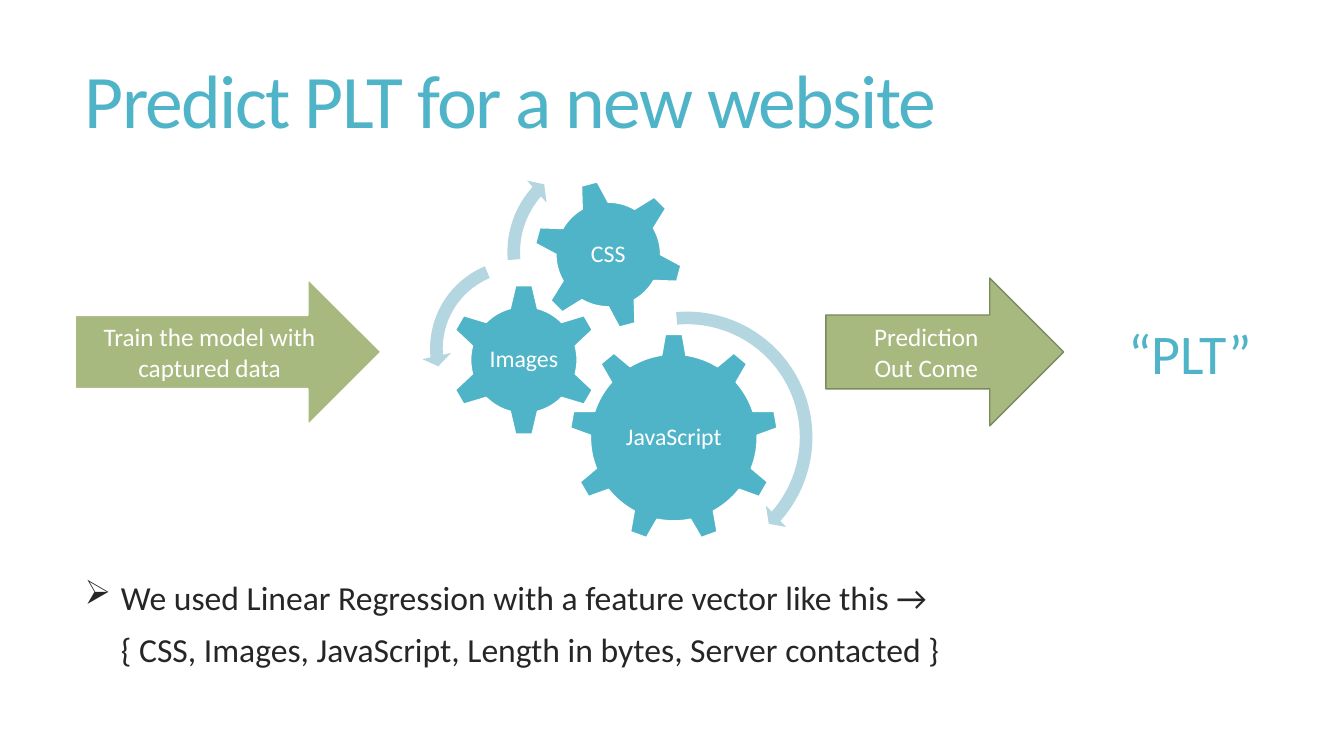
from pptx import Presentation
from pptx.dml.color import RGBColor
from pptx.enum.shapes import MSO_SHAPE as Shape
from pptx.enum.text import MSO_ANCHOR as Anchor, PP_ALIGN as Align
from pptx.oxml import parse_xml
from pptx.oxml.ns import nsdecls
from pptx.util import Inches, Pt

COLUMNS, ROWS = 160, 90
WIDTH, HEIGHT = Inches(13.33), Inches(7.5)
CELL = HEIGHT / ROWS
LEFT_EDGE = 8.9
ARROW_TOP, ARROW_HEIGHT = 33.1, 17.6

TEAL = RGBColor(0x50, 0xB4, 0xC8)
PALE_TEAL = RGBColor(0xB3, 0xD6, 0xE0)
GREEN = RGBColor(0xA8, 0xB9, 0x7F)
DARK_GREEN = RGBColor(0x7C, 0x89, 0x5E)
WHITE = RGBColor(0xFF, 0xFF, 0xFF)
INK = RGBColor(0x26, 0x26, 0x26)

GEARS = [
    ("JavaScript", Shape.GEAR_9, 67.8, 39.7, 24.8, 0),
    ("Images", Shape.GEAR_6, 53.3, 33.8, 18.1, 0),
    ("CSS", Shape.GEAR_6, 63.5, 21.4, 17.8, 345),
]
TURNS = [
    (Shape.CIRCULAR_ARROW, 65.8, 36.1, 31.9, 4.7, (4.98, 41.59, 265.11), 5.5),
    (Shape.LEFT_CIRCULAR_ARROW, 50.2, 29.9, 23.2, 6.5, (7.17, 174.82, 247.3), 7.5),
    (Shape.CIRCULAR_ARROW, 59.4, 17.5, 25, 6, (6.57, 221.9, 175.14), 7),
]
NOTES = [
    "We used Linear Regression with a feature vector like this →",
    "{ CSS, Images, JavaScript, Length in bytes, Server contacted }",
]


def cells(*counts):
    """Turn counts of square grid cells into lengths."""
    return [round(count * CELL) for count in counts]


def apply(target, formats):
    """Set every attribute in a dict of format values."""
    for name, value in formats.items():
        setattr(target, name, value)


def write(box, lines, size, color, frame_format=None, para_format=None):
    """Fill a box with paragraphs in one style and return them."""
    frame = box.text_frame
    apply(frame, {"word_wrap": True, **(frame_format or {})})
    for index, line in enumerate(lines):
        para = frame.paragraphs[0] if index == 0 else frame.add_paragraph()
        para.text = line
        apply(para, para_format or {})
        for span in para.runs:
            apply(span.font, {"name": "Calibri", "size": Pt(size)})
            span.font.color.rgb = color
    return frame.paragraphs


def add_shape(canvas, kind, place, fill, line=None, line_width=1):
    """Add a flat filled preset shape."""
    shape = canvas.add_shape(kind, *cells(*place))
    shape.shadow.inherit = False
    shape.fill.solid()
    shape.fill.fore_color.rgb = fill
    if line is None:
        shape.line.fill.background()
    else:
        shape.line.color.rgb = line
        shape.line.width = Pt(line_width)
    return shape


def add_gear(canvas, label, kind, left, top, size, rotation):
    """Add a gear with an upright label at its centre."""
    gear = add_shape(canvas, kind, (left, top, size, size), TEAL, WHITE)
    gear.rotation = rotation
    place = (left + size * 0.2, top + size * 0.25, size * 0.6, size * 0.5)
    box = canvas.add_textbox(*cells(*place))
    sides = ("left", "top", "right", "bottom")
    margins = {f"margin_{side}": Inches(0.02) for side in sides}
    write(box, [label], 17, WHITE,
          {"vertical_anchor": Anchor.MIDDLE, **margins},
          {"alignment": Align.CENTER, "line_spacing": 0.9})


def add_turn(canvas, kind, left, top, size, band, degrees, head):
    """Add a curved arrow from percent thicknesses and angles in degrees."""
    turn = add_shape(canvas, kind, (left, top, size, size), PALE_TEAL)
    values = [band / 100, *(angle * 0.6 for angle in degrees), head / 100]
    for index, value in enumerate(values):
        turn.adjustments[index] = value


def add_step(page, text, left, width, line, line_width):
    """Add a labelled block arrow on the middle band."""
    place = (left, ARROW_TOP, width, ARROW_HEIGHT)
    arrow = add_shape(page.shapes, Shape.RIGHT_ARROW, place, GREEN, line, line_width)
    write(arrow, [text], 18, WHITE, {"vertical_anchor": Anchor.MIDDLE},
          {"alignment": Align.CENTER})


def add_title(page, text):
    """Add the tightly spaced title."""
    box = page.shapes.add_textbox(*cells(LEFT_EDGE, 1.7, 141.4, 21.7))
    title = write(box, [text], 54, TEAL, {"vertical_anchor": Anchor.MIDDLE},
                  {"line_spacing": 0.85})[0]
    title.runs[0].font._element.set("spc", "-120")


def add_notes(page):
    """Add the bulleted line and its indented continuation."""
    box = page.shapes.add_textbox(*cells(LEFT_EDGE, 68.8, 141.1, 19.8))
    paras = write(box, NOTES, 24, INK, None,
                  {"line_spacing": 0.85, "space_before": Pt(13)})
    indent = Inches(0.36)
    for para in paras:
        para._p.get_or_add_pPr().set("marL", str(indent))
    bulleted = paras[0]._p.get_or_add_pPr()
    bulleted.set("indent", str(-indent))
    bulleted.append(parse_xml(f'<a:buChar {nsdecls("a")} char="➢"/>'))


def main():
    """Build the slide and save it."""
    deck = Presentation()
    apply(deck, {"slide_width": WIDTH, "slide_height": HEIGHT})
    page = deck.slides.add_slide(deck.slide_layouts[6])
    add_title(page, "Predict PLT for a new website")
    machine = page.shapes.add_group_shape().shapes
    for gear in GEARS:
        add_gear(machine, *gear)
    for turn in TURNS:
        add_turn(machine, *turn)
    add_step(page, "Train the model with captured data", LEFT_EDGE, 36.5, WHITE, 1.5)
    add_step(page, "Prediction\vOut Come", 98.3, 28.3, DARK_GREEN, 1)
    result = page.shapes.add_textbox(*cells(133.1, 37.3, 24.7, 9.2))
    write(result, ["“PLT”"], 40, TEAL)
    add_notes(page)
    deck.save("out.pptx")


if __name__ == "__main__":
    main()
